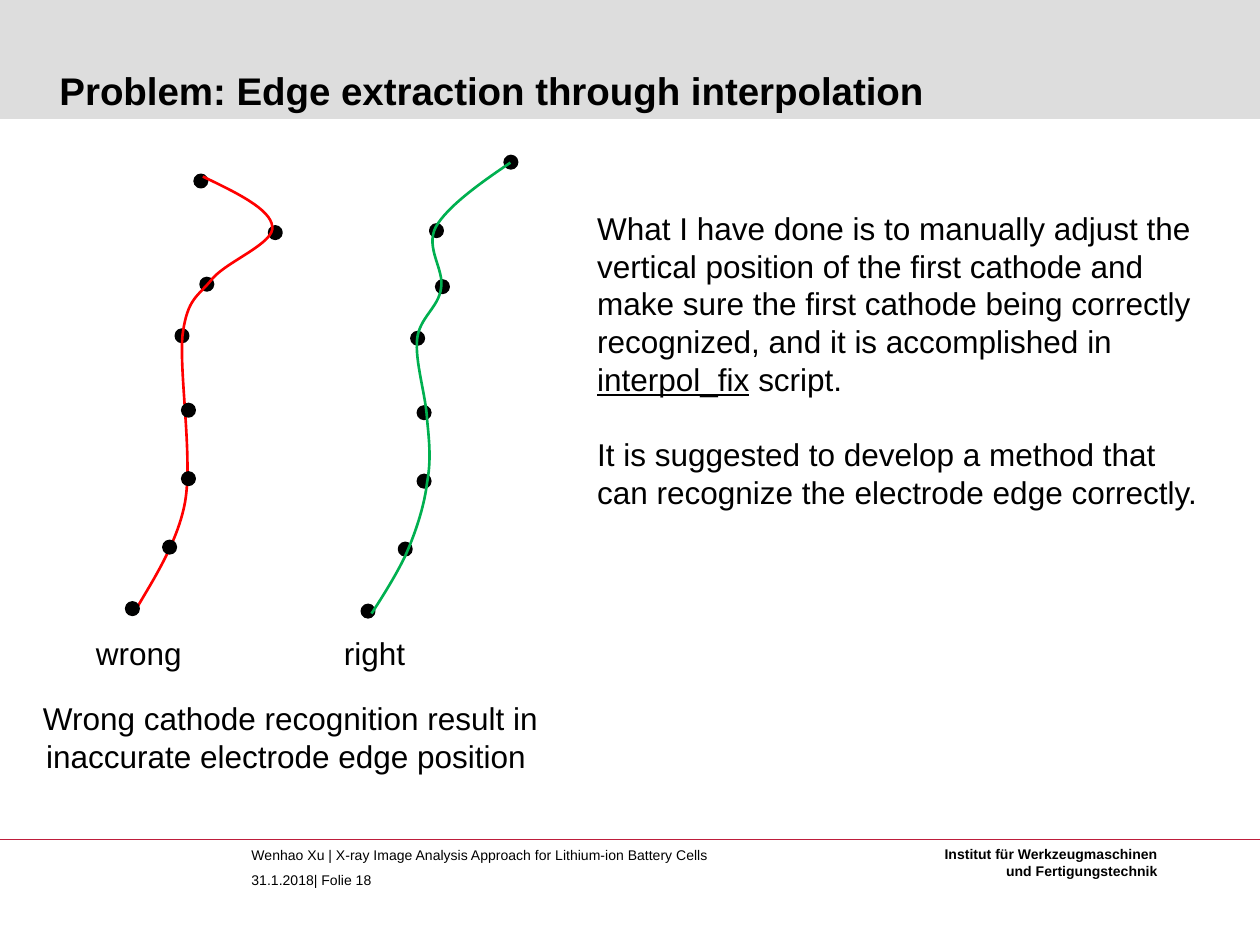
from pptx import Presentation
from pptx.dml.color import RGBColor
from pptx.enum.shapes import MSO_CONNECTOR, MSO_SHAPE
from pptx.enum.text import MSO_ANCHOR, PP_ALIGN
from pptx.oxml.ns import qn
from pptx.util import Cm, Pt
from lxml.etree import SubElement

BLACK = RGBColor(0x00, 0x00, 0x00)
BAND_GREY = RGBColor(0xDD, 0xDD, 0xDD)
RULE_RED = RGBColor(0xBE, 0x1E, 0x3C)
WRONG_RED = RGBColor(0xFF, 0x00, 0x00)
RIGHT_GREEN = RGBColor(0x00, 0xB0, 0x50)

DOT_SIZE = 0.25

# Dot centres, and curves as a start point plus cubic segments, in cm from the box corner
WRONG_DOTS = [(1.51, 0.12), (3.01, 1.16), (1.63, 2.20), (1.13, 3.24),
              (1.26, 4.74), (1.26, 6.12), (0.88, 7.50), (0.13, 8.74)]
WRONG_CURVE = [(1.55, 0.03),
               (2.24, 0.36), (2.92, 0.69), (2.95, 1.04),
               (3.00, 1.37), (2.06, 1.73), (1.75, 2.08),
               (1.45, 2.46), (1.24, 2.46), (1.14, 3.23),
               (1.07, 3.99), (1.35, 5.72), (1.19, 6.60),
               (1.02, 7.54), (0.33, 8.48), (0.15, 8.86)]
RIGHT_DOTS = [(3.01, 0.12), (1.51, 1.50), (1.63, 2.63), (1.13, 3.67),
              (1.26, 5.17), (1.26, 6.55), (0.88, 7.92), (0.13, 9.17)]
RIGHT_CURVE = [(3.00, 0.13),
               (2.36, 0.56), (1.73, 1.02), (1.50, 1.42),
               (1.27, 1.85), (1.68, 2.29), (1.60, 2.67),
               (1.55, 3.05), (1.17, 3.25), (1.12, 3.68),
               (1.07, 4.14), (1.30, 4.83), (1.32, 5.31),
               (1.37, 5.79), (1.40, 6.15), (1.32, 6.58),
               (1.27, 7.01), (1.12, 7.49), (0.94, 7.92),
               (0.76, 8.36), (0.33, 9.02), (0.20, 9.22)]


def add_text(slide, box, paragraphs, size=18, bold=False, align=PP_ALIGN.LEFT,
             anchor=MSO_ANCHOR.TOP, margins=(0.25, 0.13), spacing=None, wrap=True):
    """Each paragraph is a list of (text, underlined) runs."""
    frame = slide.shapes.add_textbox(*map(Cm, box)).text_frame
    frame.word_wrap = wrap
    frame.vertical_anchor = anchor
    frame.margin_left = frame.margin_right = Cm(margins[0])
    frame.margin_top = frame.margin_bottom = Cm(margins[1])
    for index, runs in enumerate(paragraphs):
        paragraph = frame.add_paragraph() if index else frame.paragraphs[0]
        paragraph.alignment = align
        paragraph.line_spacing = spacing
        font = paragraph.font
        font.name, font.size, font.bold = "Arial", Pt(size), bold
        font.color.rgb = BLACK
        for text, underlined in runs:
            run = paragraph.add_run()
            run.text = text
            if underlined:
                run.font.underline = True
    return frame


def plain(*lines):
    return [[(line, False)] for line in lines]


def add_header(slide, box):
    left, top, width, height = box
    band = slide.shapes.add_shape(MSO_SHAPE.RECTANGLE, *map(Cm, box))
    band.shadow.inherit = False
    band.fill.solid()
    band.fill.fore_color.rgb = BAND_GREY
    band.line.fill.background()
    add_text(slide, (left + 1.2, top + 0.31, width - 2.13, height - 0.43),
             plain("Problem: Edge extraction through interpolation"),
             size=22, bold=True, anchor=MSO_ANCHOR.BOTTOM, margins=(0, 0))


def add_footer(slide, left, top, width):
    rule = slide.shapes.add_connector(MSO_CONNECTOR.STRAIGHT, Cm(left), Cm(top),
                                      Cm(left + width), Cm(top))
    rule.line.color.rgb = RULE_RED
    rule.line.width = Pt(0.75)
    SubElement(rule._element.spPr, qn("a:effectLst"))
    add_text(slide, (left + 5.07, top - 0.03, 10.97, 1.37),
             plain("Wenhao Xu | X-ray Image Analysis Approach for Lithium-ion Battery Cells",
                   "31.1.2018| Folie 18"),
             size=8, margins=(0, 0), spacing=1.5)
    add_text(slide, (left + 19, top + 0.1, 4.34, 0.74),
             plain("Institut für Werkzeugmaschinen", "und Fertigungstechnik"),
             size=8, bold=True, align=PP_ALIGN.RIGHT, margins=(0, 0.03), wrap=False)


def add_dot(group, x, y):
    dot = group.shapes.add_shape(MSO_SHAPE.OVAL, Cm(x - DOT_SIZE / 2), Cm(y - DOT_SIZE / 2),
                                 Cm(DOT_SIZE), Cm(DOT_SIZE))
    dot.shadow.inherit = False
    dot.fill.solid()
    dot.fill.fore_color.rgb = BLACK
    dot.line.color.rgb = BLACK
    dot.line.width = Pt(1.5)


def bend_segments(shape):
    """Turn every three line segments of a freeform into one cubic Bézier segment."""
    lines = list(shape._element.iter(qn("a:lnTo")))
    for start in range(0, len(lines), 3):
        outline = lines[start].getparent()
        cubic = SubElement(outline, qn("a:cubicBezTo"))
        for line in lines[start:start + 3]:
            cubic.append(line[0])
            outline.remove(line)


def add_curve(group, left, top, points, color):
    outline = [(Cm(left + x), Cm(top + y)) for x, y in points]
    builder = group.shapes.build_freeform(*outline[0])
    builder.add_line_segments(outline[1:], close=False)
    curve = builder.convert_to_shape()
    bend_segments(curve)
    curve.shadow.inherit = False
    curve.fill.background()
    curve.line.color.rgb = color
    curve.line.width = Pt(1.5)


def add_edge(slide, left, top, dots, curve, color, dots_behind):
    """Interpolated edge: some dots lie behind the curve, the rest in front."""
    group = slide.shapes.add_group_shape()
    for x, y in dots[:dots_behind]:
        add_dot(group, left + x, top + y)
    add_curve(group, left, top, curve, color)
    for x, y in dots[dots_behind:]:
        add_dot(group, left + x, top + y)


def add_comparison(slide, left, top):
    # The two edges
    add_edge(slide, left + 2.49, top + 0.38, WRONG_DOTS, WRONG_CURVE, WRONG_RED, 4)
    add_edge(slide, left + 7.24, top, RIGHT_DOTS, RIGHT_CURVE, RIGHT_GREEN, len(RIGHT_DOTS))
    # Labels and caption
    for label, offset in (("wrong", 1.19), ("right", 5.94)):
        add_text(slide, (left + offset, top + 9.51, 3.12, 1.02), plain(label),
                 align=PP_ALIGN.CENTER)
    add_text(slide, (left, top + 10.82, 11.61, 1.8),
             plain("Wrong cathode recognition result in inaccurate electrode edge position "),
             align=PP_ALIGN.CENTER)


def add_explanation(slide, box):
    frame = add_text(slide, box, [
        [("What I have done is to manually adjust the vertical position of the first "
          "cathode and make sure the first cathode being correctly recognized, and it is "
          "accomplished in ", False), ("interpol_fix", True), (" script.", False)],
        [("It is suggested to develop a method that can recognize the electrode edge "
          "correctly.", False)]])
    frame.paragraphs[1].space_before = Pt(21.3)


def main():
    presentation = Presentation()
    presentation.slide_width, presentation.slide_height = Cm(25.4), Cm(19.05)
    slide = presentation.slides.add_slide(presentation.slide_layouts[6])
    add_header(slide, (0, 0, 25.4, 2.4))
    add_footer(slide, 0, 16.92, 25.4)
    add_comparison(slide, 0.05, 3.15)
    add_explanation(slide, (11.79, 4.08, 12.67, 6.4))
    presentation.save("out.pptx")


if __name__ == "__main__":
    main()
